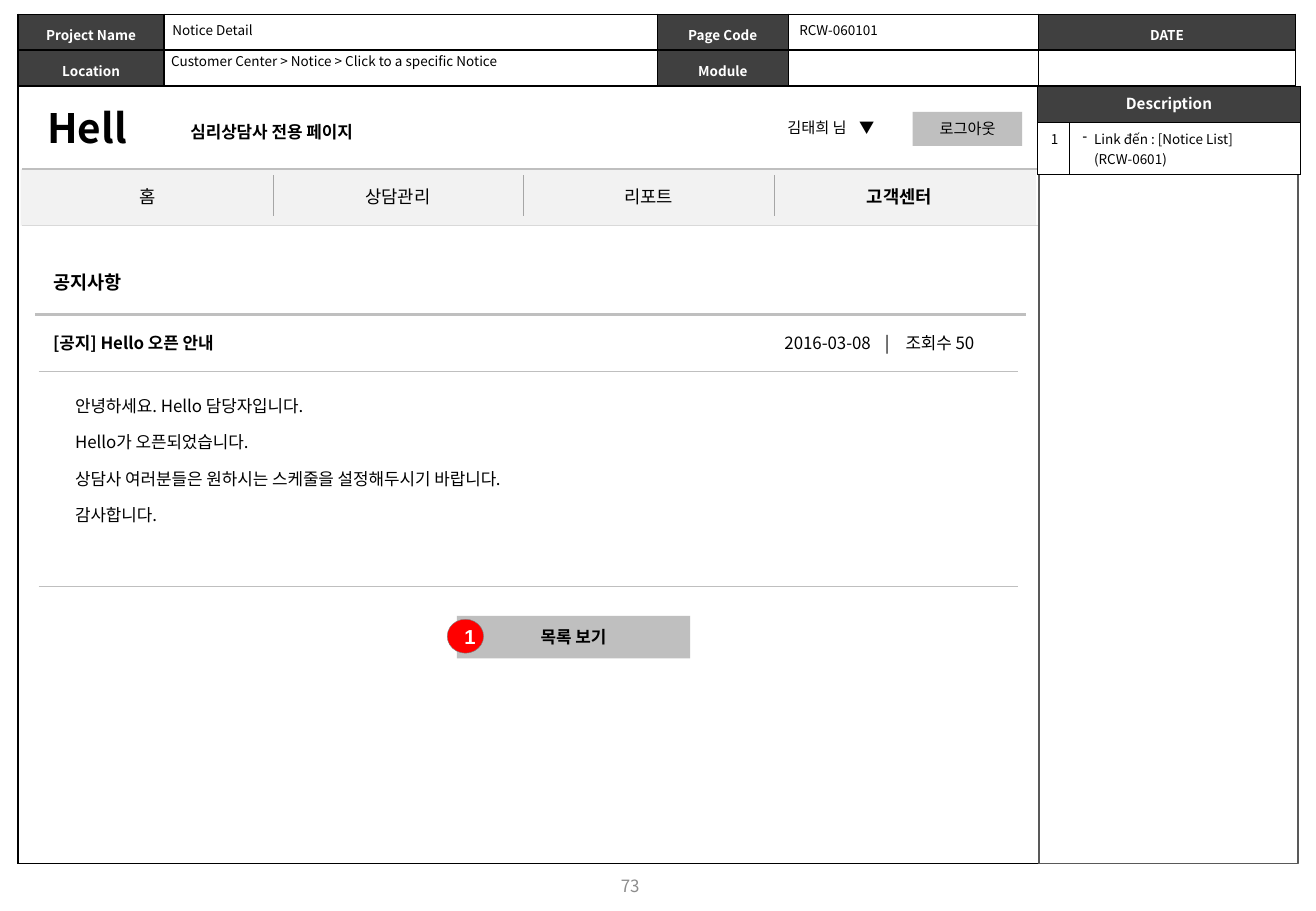
from dataclasses import dataclass

from lxml import etree
from pptx import Presentation
from pptx import util as u
from pptx.dml.color import RGBColor
from pptx.enum import shapes, text
from pptx.oxml.ns import qn

FONT = "Noto Sans CJK KR"
BLACK, WHITE, DARK = "000000", "FFFFFF", "404040"
GREY, PALE = "BFBFBF", "F2F2F2"
NO_STYLE = "{2D5ABB26-0587-4C30-8999-92F81FD0307C}"
LEFT, CENTER = text.PP_ALIGN.LEFT, text.PP_ALIGN.CENTER
TOP, MIDDLE = text.MSO_ANCHOR.TOP, text.MSO_ANCHOR.MIDDLE


@dataclass
class Style:
    size: float = 10
    bold: bool = False
    color: str = BLACK
    align: text.PP_ALIGN = LEFT
    font: str = FONT


@dataclass
class Label:
    box: tuple[float, float, float, float]
    lines: list[str]
    style: Style
    tabs: tuple[float, ...] = ()
    gap: float = 0
    anchor: text.MSO_ANCHOR = TOP


@dataclass
class Block:
    kind: shapes.MSO_SHAPE
    box: tuple[float, float, float, float]
    fill: str
    line: str | None = None
    width: float = 0.25
    caption: str = ""
    style: Style | None = None


@dataclass
class Rule:
    left: float
    right: float
    y: float
    color: str = GREY
    width: float = 0.75


def rgb(value: str) -> RGBColor:
    return RGBColor.from_string(value)


def cm(values) -> list[int]:
    return [u.Cm(value) for value in values]


def write(paragraph, content: str, style: Style) -> None:
    paragraph.alignment = style.align
    run = paragraph.add_run()
    run.text = content
    font = run.font
    font.size, font.bold, font.name = u.Pt(style.size), style.bold, style.font
    font.color.rgb = rgb(style.color)
    etree.SubElement(run._r.get_or_add_rPr(), qn("a:ea"), typeface=style.font)


def fill_label(shape, label: Label) -> None:
    shape.left, shape.top, shape.width, shape.height = cm(label.box)
    frame = shape.text_frame
    frame.word_wrap = True
    frame.auto_size = text.MSO_AUTO_SIZE.NONE
    frame.vertical_anchor = label.anchor
    for index, line in enumerate(label.lines):
        paragraph = frame.add_paragraph() if index else frame.paragraphs[0]
        paragraph.space_before = u.Pt(label.gap if index else 0)
        if label.tabs:
            stops = etree.SubElement(paragraph._p.get_or_add_pPr(), qn("a:tabLst"))
            for position in label.tabs:
                etree.SubElement(stops, qn("a:tab"), pos=str(u.Cm(position)), algn="l")
        write(paragraph, line, label.style)


def draw_label(slide, label: Label) -> None:
    fill_label(slide.shapes.add_textbox(*cm(label.box)), label)


def draw_block(slide, block: Block) -> None:
    shape = slide.shapes.add_shape(block.kind, *cm(block.box))
    shape.shadow.inherit = False
    shape.fill.solid()
    shape.fill.fore_color.rgb = rgb(block.fill)
    if block.line:
        shape.line.color.rgb = rgb(block.line)
        shape.line.width = u.Pt(block.width)
    else:
        shape.line.fill.background()
    if block.style:
        shape.text_frame.vertical_anchor = MIDDLE
        write(shape.text_frame.paragraphs[0], block.caption, block.style)


def draw_rule(slide, rule: Rule) -> None:
    line = slide.shapes.add_connector(
        shapes.MSO_CONNECTOR.STRAIGHT, *cm((rule.left, rule.y, rule.right, rule.y)))
    line.line.color.rgb = rgb(rule.color)
    line.line.width = u.Pt(rule.width)
    etree.SubElement(line._element.spPr, qn("a:effectLst"))


def draw_table(slide, left: float, top: float, columns: list[float], rows: list[float]):
    frame = slide.shapes.add_table(
        len(rows), len(columns), *cm((left, top, sum(columns), sum(rows))))
    frame._element.find(".//" + qn("a:tableStyleId")).text = NO_STYLE
    table = frame.table
    table.first_row = table.horz_banding = False
    for column, width in zip(table.columns, columns):
        column.width = u.Cm(width)
    for row, height in zip(table.rows, rows):
        row.height = u.Cm(height)
    return table


def format_cell(cell, sides: str, color: str, width: float, fill: str | None = None,
                margins: tuple[float, float] = (0.28, 0.13), content: str = "",
                style: Style = Style(8), spacing: float = 1) -> None:
    properties = cell._tc.get_or_add_tcPr()
    for side in sides:
        border = etree.SubElement(properties, qn(f"a:ln{side}"), w=str(u.Pt(width)))
        solid = etree.SubElement(border, qn("a:solidFill"))
        etree.SubElement(solid, qn("a:srgbClr"), val=color)
    if fill:
        cell.fill.solid()
        cell.fill.fore_color.rgb = rgb(fill)
    else:
        cell.fill.background()
    cell.margin_left = cell.margin_right = u.Cm(margins[0])
    cell.margin_top = cell.margin_bottom = u.Cm(margins[1])
    paragraph = cell.text_frame.paragraphs[0]
    paragraph.line_spacing = spacing
    if content:
        write(paragraph, content, style)
    else:
        etree.SubElement(paragraph._p, qn("a:endParaRPr"), sz="800")


def draw_header(slide) -> None:
    header = [["Project Name", "", "Page Code", "", "DATE"],
              ["Location", "", "Module", "", ""]]
    table = draw_table(slide, 0.38, 0.3, [3.05, 10.31, 2.74, 5.23, 5.37], [0.75, 0.75])
    for row, captions in enumerate(header):
        for column, caption in enumerate(captions):
            format_cell(table.cell(row, column), "LRTB", BLACK, 1, DARK if caption else None,
                        (0.1, 0.1), caption, Style(8, True, WHITE, CENTER), 1.3)


def draw_menu(slide) -> None:
    names = ["홈", "상담관리", "리포트", "고객센터"]
    table = draw_table(slide, 0.46, 3.66, [5.24] * len(names), [0.86])
    for column, name in enumerate(names):
        last = column == len(names) - 1
        sides = ("L" if column else "") + ("" if last else "R")
        cell = table.cell(0, column)
        format_cell(cell, sides, "A6A6A6", 0.25, content=name,
                    style=Style(10.5, last, align=CENTER))
        cell.vertical_anchor = MIDDLE


def draw_description(slide) -> None:
    table = draw_table(slide, 21.69, 1.8, [0.64, 4.83], [0.76, 0.91])
    table.cell(0, 0).merge(table.cell(0, 1))
    note = table.cell(1, 1)
    properties = note.text_frame.paragraphs[0]._p.get_or_add_pPr()
    properties.set("marL", str(u.Cm(0.24)))
    properties.set("indent", str(-u.Cm(0.24)))
    etree.SubElement(properties, qn("a:buChar"), char="-")
    format_cell(table.cell(0, 0), "LRTB", BLACK, 0.5, DARK, content="Description",
                style=Style(9, True, WHITE, CENTER))
    format_cell(table.cell(1, 0), "LRTB", BLACK, 0.5, WHITE, content="1")
    format_cell(note, "LRTB", BLACK, 0.5, WHITE, content="Link đến : [Notice List] (RCW-0601)")


def main() -> None:
    presentation = Presentation()
    presentation.slide_width, presentation.slide_height = cm((27.51, 19.05))
    slide = presentation.slides.add_slide(presentation.slide_layouts[5])
    fill_label(slide.shapes.title, Label((3.35, 0.33, 4, 0.61), ["Notice Detail"], Style(8)))
    page = draw_table(slide, 0.38, 1.8, [26.7], [16.26])
    format_cell(page.cell(0, 0), "LRTB", BLACK, 1)
    draw_header(slide)

    rectangle, oval = shapes.MSO_SHAPE.RECTANGLE, shapes.MSO_SHAPE.OVAL
    for block in [
        Block(rectangle, (21.72, 2.54, 5.41, 15.52), WHITE, "595959", 1),
        Block(rectangle, (19.08, 2.34, 2.29, 0.71), GREY, caption="로그아웃", style=Style(9, align=CENTER)),
        Block(rectangle, (0.43, 3.53, 21.23, 1.19), PALE),
        Block(rectangle, (9.55, 12.88, 4.88, 0.89), GREY, caption="목록 보기",
              style=Style(10, True, align=CENTER)),
        Block(oval, (9.35, 12.95, 0.76, 0.71), "FF0000", "808080", caption="1",
              style=Style(12, True, WHITE, CENTER, "Arial")),
    ]:
        draw_block(slide, block)
    for rule in [Rule(0.46, 21.69, 3.53, width=1.5), Rule(0.46, 21.69, 4.7, "D9D9D9", 0.25),
                 Rule(0.74, 21.44, 6.58, width=1.5), Rule(0.81, 21.29, 7.77),
                 Rule(0.81, 21.29, 12.27)]:
        draw_rule(slide, rule)
    draw_menu(slide)
    draw_description(slide)

    body = ["안녕하세요. Hello 담당자입니다.", "Hello가 오픈되었습니다.",
            "상담사 여러분들은 원하시는 스케줄을 설정해두시기 바랍니다.", "감사합니다."]
    for label in [
        Label((0.74, 2.03, 2.64, 1.27), ["Hell"], Style(24, True)),
        Label((16.21, 2.34, 2.57, 0.64), ["김태희 님\t▼"], Style(9), (1.5,)),
        Label((3.73, 2.41, 4.6, 0.69), ["심리상담사 전용 페이지"], Style(10, True)),
        Label((0.86, 5.54, 2.4, 0.74), ["공지사항"], Style(11, True)),
        Label((0.86, 6.83, 4.8, 0.69), ["[공지] Hello 오픈 안내"], Style(10, True)),
        Label((16.15, 6.83, 5.2, 0.69), ["2016-03-08\t|\t조회수 50"], Style(), (2.1, 2.53)),
        Label((1.32, 8.15, 11, 3.25), body, Style(), gap=9.5),
        Label((16.46, 0.33, 2.6, 0.61), ["RCW-060101"], Style(8)),
        Label((3.33, 0.99, 8, 0.61), ["Customer Center > Notice > Click to a specific Notice"], Style(8)),
        Label((9.96, 18.01, 6.43, 1.02), ["73"], Style(10, color="8C8C8C", align=CENTER), anchor=MIDDLE),
    ]:
        draw_label(slide, label)
    presentation.save("out.pptx")


if __name__ == "__main__":
    main()
